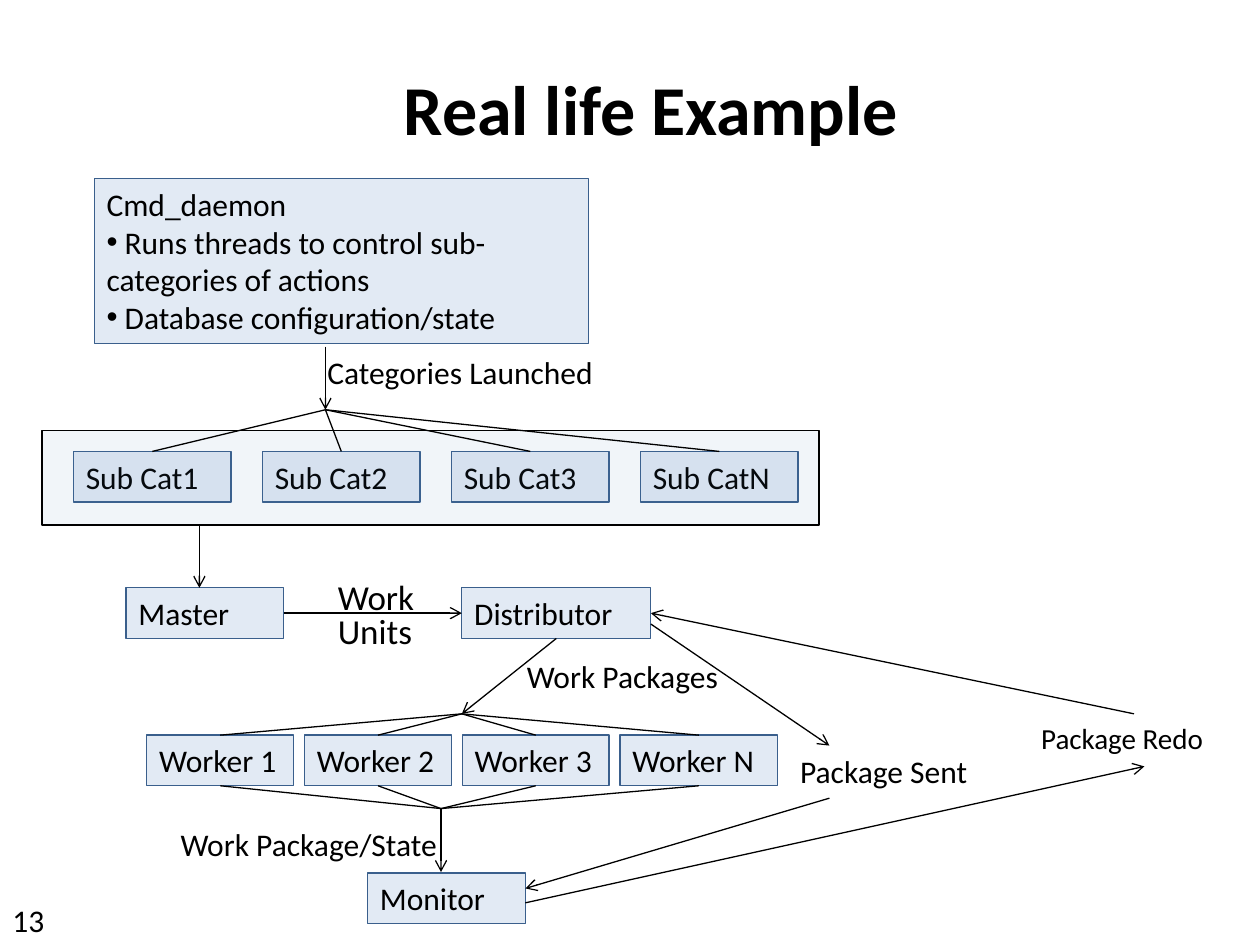
from lxml import etree
from pptx import Presentation
from pptx.dml.color import RGBColor
from pptx.enum.shapes import MSO_CONNECTOR, MSO_SHAPE
from pptx.enum.text import MSO_ANCHOR, MSO_AUTO_SIZE, PP_ALIGN
from pptx.oxml.ns import qn
from pptx.util import Cm, Pt

BLACK = RGBColor(0x00, 0x00, 0x00)
BLUE = RGBColor(0x4F, 0x81, 0xBD)
DARK_BLUE = RGBColor(0x3A, 0x5F, 0x8C)
RECTANGLE = MSO_SHAPE.RECTANGLE
STRAIGHT = MSO_CONNECTOR.STRAIGHT
LEFT, CENTER = PP_ALIGN.LEFT, PP_ALIGN.CENTER
TOP, MIDDLE = MSO_ANCHOR.TOP, MSO_ANCHOR.MIDDLE
FIT_SHAPE = MSO_AUTO_SIZE.SHAPE_TO_FIT_TEXT
TOP_SIDE, LEFT_SIDE, BOTTOM_SIDE, RIGHT_SIDE = range(4)

prs = Presentation()
prs.slide_width, prs.slide_height = Cm(25.4), Cm(19.05)
slide = prs.slides.add_slide(prs.slide_layouts[6])


def write(shape, text, size=18, spacing=None, align=LEFT, bold=False):
    frame = shape.text_frame
    frame.word_wrap = True
    frame.vertical_anchor = TOP
    frame.text = text
    for paragraph in frame.paragraphs:
        paragraph.alignment = align
        if spacing:
            paragraph.line_spacing = spacing
        for run in paragraph.runs:
            run.font.name = "Calibri"
            run.font.size = Pt(size)
            run.font.bold = bold
            run.font.color.rgb = BLACK
    return frame


def connect(start, end, arrow=False, source=None, target=None):
    line = slide.shapes.add_connector(STRAIGHT, *map(Cm, start + end))
    if source:
        line.begin_connect(*source)
    if target:
        line.end_connect(*target)
    line.line.color.rgb = BLACK
    line.line.width = Pt(0.75)
    if arrow:
        etree.SubElement(line.line._get_or_add_ln(), qn("a:tailEnd"), type="arrow")
    etree.SubElement(line._element.spPr, qn("a:effectLst"))


title = slide.shapes.add_textbox(Cm(2.54), Cm(1.47), Cm(21.16), Cm(1.7))
write(title, "Real life Example", 40, 0.8, CENTER, True).vertical_anchor = MIDDLE

daemon_text = (
    "Cmd_daemon\n Runs threads to control sub-categories of actions\n"
    " Database configuration/state"
)
categories = ["Sub Cat1", "Sub Cat2", "Sub Cat3", "Sub CatN"]
workers = ["Worker 1", "Worker 2", "Worker 3", "Worker N"]

nodes = [
    (daemon_text, 1.9, 3.6, 9.96, 3.33),
    ("Master", 2.54, 11.85, 3.18, 1.02),
    ("Distributor", 9.31, 11.85, 3.81, 1.02),
    ("Monitor", 7.41, 17.6, 3.18, 1.02),
]
for index, name in enumerate(categories):
    nodes.append((name, 1.48 + 3.81 * index, 9.1, 3.18, 1.02))
for index, name in enumerate(workers):
    width = 3.18 if name == "Worker N" else 2.96
    nodes.append((name, 2.96 + 3.18 * index, 14.82, width, 1.02))
nodes.append(("", 0.85, 8.68, 15.66, 1.9))

boxes = {}
for text, *bounds in nodes:
    box = slide.shapes.add_shape(RECTANGLE, *map(Cm, bounds))
    box.shadow.inherit = False
    box.fill.solid()
    box.fill.fore_color.rgb = BLUE
    color = box._element.spPr.find(qn("a:solidFill"))[0]
    etree.SubElement(color, qn("a:alpha"), val="16000" if text else "8000")
    box.line.color.rgb = DARK_BLUE if text else BLACK
    box.line.width = Pt(0.75 if text else 1)
    if text:
        write(box, text).auto_size = FIT_SHAPE
    boxes[text] = box

for paragraph in boxes[daemon_text].text_frame.paragraphs[1:]:
    properties = paragraph._p.get_or_add_pPr()
    etree.SubElement(properties, qn("a:buFont"), typeface="Arial")
    etree.SubElement(properties, qn("a:buChar"), char="•")

launch = (6.56, 8.26)
dispatch = (9.31, 14.39)
collect = (8.89, 16.3)
for name in categories:
    connect(launch, launch, target=(boxes[name], TOP_SIDE))
for name in workers:
    connect(dispatch, dispatch, target=(boxes[name], TOP_SIDE))
    connect(collect, collect, source=(boxes[name], BOTTOM_SIDE))

distributor = boxes["Distributor"]
connect((0.85, 10.58), (16.51, 10.58))
connect((6.56, 6.99), launch, True)
connect((4.02, 10.58), (4.02, 11.85), True)
connect((5.72, 12.36), (9.31, 12.36), True,
        (boxes["Master"], RIGHT_SIDE), (distributor, LEFT_SIDE))
connect((11.22, 12.87), dispatch, True, source=(distributor, BOTTOM_SIDE))
connect(collect, (8.89, 17.58), True)
connect((13.12, 12.58), (16.72, 15.03), True)
connect((16.72, 16.09), (10.59, 17.91), True)
connect((10.59, 18.2), (23.07, 15.45), True)
connect((22.86, 14.39), (13.12, 12.36), True, target=(distributor, RIGHT_SIDE))

for text, left, top, width, height, size, spacing in [
    ("Work Units", 6.56, 11.64, 2.12, 1.7, 20, 0.8),
    ("Work Packages", 10.37, 13.12, 4.66, 1.06, 18, None),
    ("Categories Launched", 6.35, 6.99, 6.99, 1.7, 18, None),
    ("Work Package/State", 3.39, 16.51, 5.72, 1.06, 18, None),
    ("Package Sent", 15.88, 15.03, 4.02, 1.06, 18, None),
    ("Package Redo", 20.74, 14.39, 4.02, 1.06, 16.6, None),
    ("13", 0, 18.03, 1.27, 1.02, 18, None),
]:
    label = slide.shapes.add_textbox(Cm(left), Cm(top), Cm(width), Cm(height))
    write(label, text, size, spacing)

prs.save("out.pptx")
